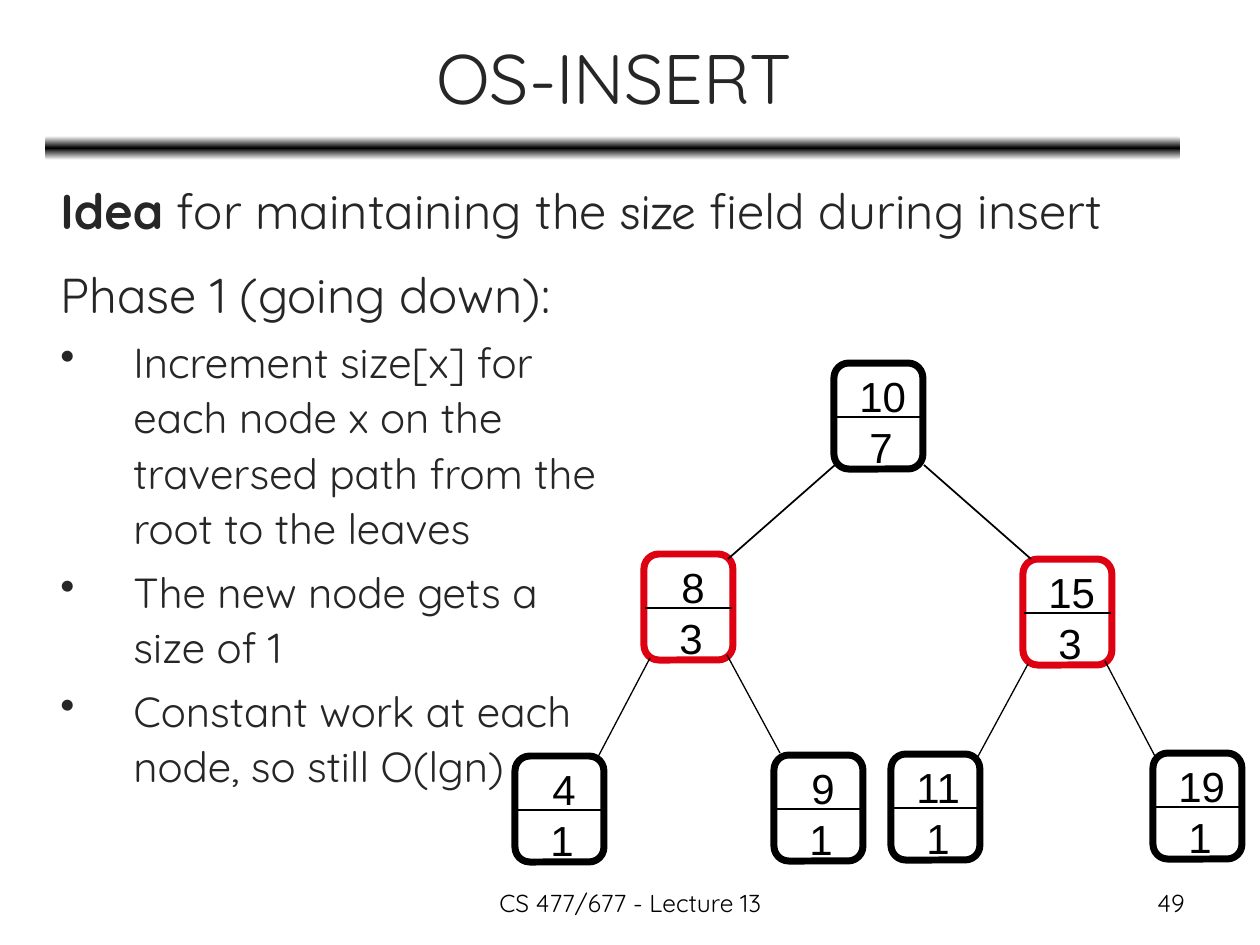
from dataclasses import dataclass

from lxml import etree
from pptx import Presentation
from pptx.dml.color import RGBColor
from pptx.enum.shapes import MSO_CONNECTOR, MSO_SHAPE
from pptx.enum.text import MSO_ANCHOR, PP_ALIGN
from pptx.oxml.ns import qn
from pptx.util import Emu, Pt

STRAIGHT = MSO_CONNECTOR.STRAIGHT
ROUNDED = MSO_SHAPE.ROUNDED_RECTANGLE
MIDDLE = MSO_ANCHOR.MIDDLE
LEFT, CENTER, RIGHT = PP_ALIGN.LEFT, PP_ALIGN.CENTER, PP_ALIGN.RIGHT

PX_PER_INCH = 126
COLORS = {"ink": "262626", "black": "000000", "white": "FFFFFF", "red": "DD0111"}
HEADING = {"size": Pt(28), "name": "Quicksand"}
BULLET = {"size": Pt(24), "name": "Quicksand"}
FOOTER = {"size": Pt(14), "name": "Quicksand"}
NODE_TEXT = {"size": Pt(24), "name": "Arial"}
NODE_WIDTH, NODE_HEIGHT, DIVIDER_DROP = 89, 106, 54
INDENT = 73


@dataclass(frozen=True)
class Node:
    left: int
    top: int
    key: str
    size: str
    color: str = "black"


@dataclass(frozen=True)
class Edge:
    x1: int
    y1: int
    x2: int
    y2: int
    weight: float = 0.75


NODES = [
    Node(834, 363, "10", "7"),
    Node(644, 554, "8", "3", "red"),
    Node(1023, 559, "15", "3", "red"),
    Node(515, 756, "4", "1"),
    Node(774, 755, "9", "1"),
    Node(891, 754, "11", "1"),
    Node(1153, 753, "19", "1"),
]
EDGES = [
    Edge(835, 465, 728, 559, 1),
    Edge(924, 465, 1031, 559, 1),
    Edge(650, 658, 598, 757),
    Edge(727, 655, 780, 753),
    Edge(1028, 664, 975, 762),
    Edge(1105, 661, 1157, 760),
]
IDEA_RUNS = [
    ("Idea", {"bold": True}),
    (" for maintaining the ", {}),
    ("size", {"name": "Comic Neue"}),
    (" field during insert", {}),
]
BULLETS = [
    "Increment size[x] for each node x on the traversed path from the root to the leaves",
    "The new node gets a size of 1",
    "Constant work at each node, so still O(lgn)",
]


def px(value: int) -> Emu:
    return Emu(round(value * 914400 / PX_PER_INCH))


def rgb(name: str) -> RGBColor:
    return RGBColor.from_string(COLORS[name])


def format_font(font, values: dict, color: str) -> None:
    for attribute, value in values.items():
        setattr(font, attribute, value)
    font.color.rgb = rgb(color)


def add_run(paragraph, text: str, values: dict, color: str) -> None:
    run = paragraph.add_run()
    run.text = text
    format_font(run.font, values, color)


def add_frame(slide, left: int, top: int, width: int, height: int, wrap: bool = True):
    frame = slide.shapes.add_textbox(px(left), px(top), px(width), px(height)).text_frame
    frame.word_wrap = wrap
    return frame


def add_label(slide, left: int, top: int, width: int, height: int, text: str,
              values: dict, align=LEFT, wrap: bool = True) -> None:
    paragraph = add_frame(slide, left, top, width, height, wrap).paragraphs[0]
    paragraph.alignment = align
    add_run(paragraph, text, values, "black")


def format_body(paragraph, bullet: bool = False, space: float = 0) -> None:
    properties = paragraph._p.get_or_add_pPr()
    properties.set("marL", str(px(INDENT)))
    properties.set("indent", str(-px(INDENT)))
    if bullet:
        etree.SubElement(properties, qn("a:buChar")).set("char", "•")
    paragraph.line_spacing = 1.1
    paragraph.space_before = Pt(space)


def add_line(slide, edge: Edge) -> None:
    line = slide.shapes.add_connector(
        STRAIGHT, px(edge.x1), px(edge.y1), px(edge.x2), px(edge.y2))
    line.line.color.rgb = rgb("black")
    line.line.width = Pt(edge.weight)
    etree.SubElement(line._element.spPr, qn("a:effectLst"))


def add_node(slide, node: Node) -> None:
    box = slide.shapes.add_shape(
        ROUNDED, px(node.left), px(node.top), px(NODE_WIDTH), px(NODE_HEIGHT))
    box.shadow.inherit = False
    box.fill.background()
    box.line.color.rgb = rgb(node.color)
    box.line.width = Pt(4)
    key_shift = 25 if len(node.key) == 1 else 13
    add_label(slide, node.left + key_shift, node.top + 1, 72, 63, node.key, NODE_TEXT, wrap=False)
    add_label(slide, node.left + 23, node.top + 52, 49, 63, node.size, NODE_TEXT, wrap=False)
    divider = node.top + DIVIDER_DROP
    add_line(slide, Edge(node.left + 1, divider, node.left + NODE_WIDTH - 1, divider, 1))


def add_title_bar(slide) -> None:
    bar = slide.shapes.add_shape(ROUNDED, px(45), px(136), px(1135), px(24))
    bar.shadow.inherit = False
    bar.line.fill.background()
    bar.fill.gradient()
    bar.fill.gradient_angle = 90
    stops = bar._element.spPr.find(qn("a:gradFill")).find(qn("a:gsLst"))
    for stop in list(stops):
        stops.remove(stop)
    for position, color in ((0, "white"), (50000, "black"), (100000, "white")):
        stop = etree.SubElement(stops, qn("a:gs"), pos=str(position))
        etree.SubElement(stop, qn("a:srgbClr"), val=COLORS[color])


def add_title(slide) -> None:
    title = slide.shapes.title
    title.left, title.top, title.width, title.height = px(47), px(14), px(1134), px(125)
    frame = title.text_frame
    frame.vertical_anchor = MIDDLE
    frame.paragraphs[0].alignment = CENTER
    add_run(frame.paragraphs[0], "OS-INSERT", {"size": Pt(40), "name": "Quicksand"}, "ink")


def add_body(slide) -> None:
    idea = add_frame(slide, 48, 168, 1129, 91).paragraphs[0]
    format_body(idea)
    for text, values in IDEA_RUNS:
        add_run(idea, text, HEADING | values, "ink")
    frame = add_frame(slide, 48, 252, 582, 590)
    format_body(frame.paragraphs[0])
    add_run(frame.paragraphs[0], "Phase 1 (going down):", HEADING, "ink")
    for text in BULLETS:
        paragraph = frame.add_paragraph()
        format_body(paragraph, bullet=True, space=4.8)
        add_run(paragraph, text, BULLET, "ink")


def main() -> None:
    presentation = Presentation()
    presentation.slide_width, presentation.slide_height = px(1260), px(945)
    slide = presentation.slides.add_slide(presentation.slide_layouts[5])
    add_title_bar(slide)
    add_title(slide)
    for node in NODES:
        add_node(slide, node)
    for edge in EDGES:
        add_line(slide, edge)
    add_body(slide)
    add_label(slide, 431, 882, 399, 44, "CS 477/677 - Lecture 13", FOOTER, CENTER)
    add_label(slide, 903, 882, 294, 44, "49", FOOTER, RIGHT)
    presentation.save("out.pptx")


if __name__ == "__main__":
    main()
